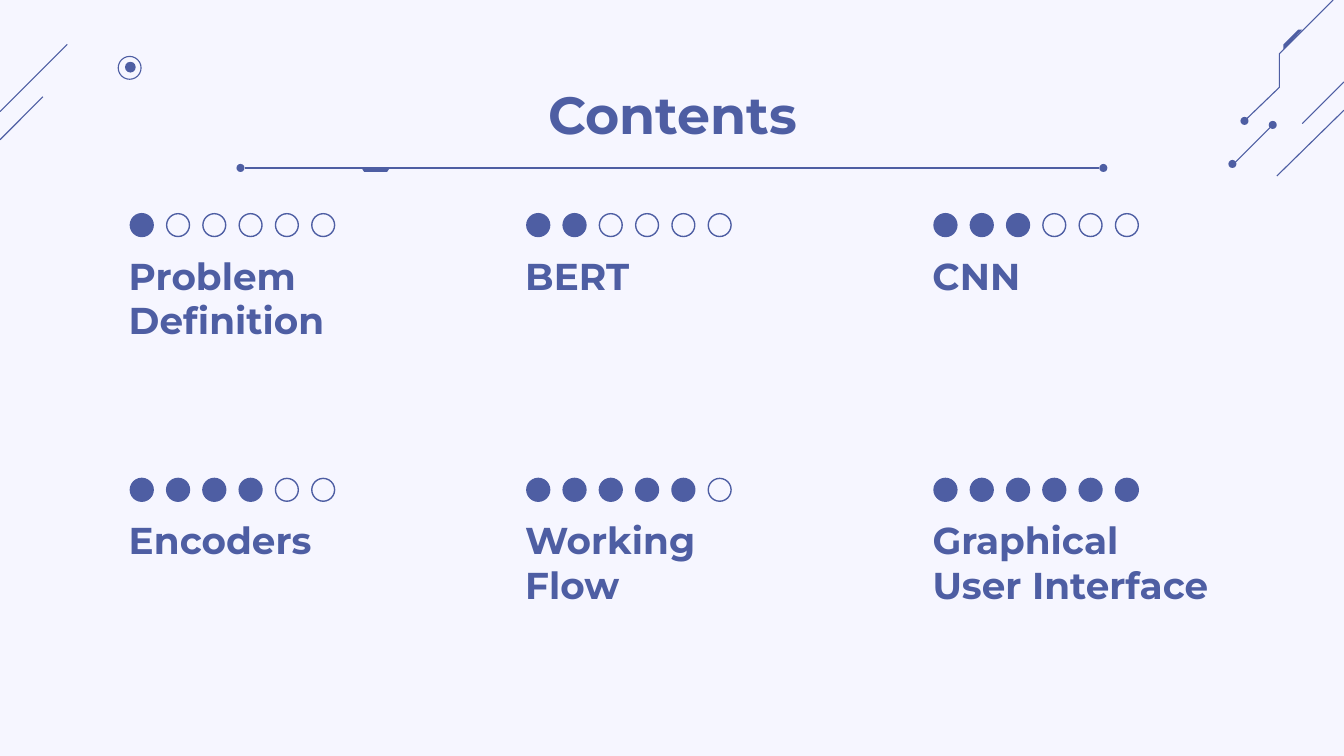
from pptx import Presentation
from pptx.dml.color import RGBColor
from pptx.enum.shapes import MSO_CONNECTOR as Connector, MSO_SHAPE as Shape
from pptx.enum.text import MSO_ANCHOR as Anchor, PP_ALIGN as Align
from pptx.oxml.ns import qn
from pptx.util import Inches, Pt
from lxml.etree import SubElement


def color(value):
    return RGBColor.from_string(value)


class ContentsSlide:
    font = "Montserrat"
    ink = "4E5EA3"
    paper = "F6F6FF"
    thin = 0.6
    regular = 0.75

    def __init__(self, deck):
        self.page = deck.slides.add_slide(deck.slide_layouts[6])
        background = self.page.background.fill
        background.solid()
        background.fore_color.rgb = color(self.paper)

    def paint(self, shape, filled, weight):
        shape.shadow.inherit = False
        if filled:
            shape.fill.solid()
            shape.fill.fore_color.rgb = color(self.ink)
        else:
            shape.fill.background()
        if weight:
            shape.line.color.rgb = color(self.ink)
            shape.line.width = Pt(weight)
        else:
            shape.line.fill.background()

    def dot(self, left, top, size, filled=True, weight=0):
        shape = self.page.shapes.add_shape(
            Shape.OVAL, Inches(left), Inches(top), Inches(size), Inches(size))
        self.paint(shape, filled, weight)

    def line(self, start, end, weight):
        ends = [Inches(value) for value in (*start, *end)]
        connector = self.page.shapes.add_connector(Connector.STRAIGHT, *ends)
        connector.line.color.rgb = color(self.ink)
        connector.line.width = Pt(weight)
        SubElement(connector._element.spPr, qn("a:effectLst"))

    def outline(self, points, closed=True):
        first, *others = [(Inches(x), Inches(y)) for x, y in points]
        builder = self.page.shapes.build_freeform(*first)
        builder.add_line_segments(others, close=closed)
        self.paint(builder.convert_to_shape(), closed, 0 if closed else self.thin)

    def text(self, words, left, top, width, height, size, align=Align.LEFT):
        box = self.page.shapes.add_textbox(
            Inches(left), Inches(top), Inches(width), Inches(height))
        frame_format = {
            "word_wrap": True, "vertical_anchor": Anchor.TOP,
            "margin_left": Inches(0.1), "margin_right": Inches(0.1),
            "margin_top": 0, "margin_bottom": 0,
        }
        for name, value in frame_format.items():
            setattr(box.text_frame, name, value)
        para = box.text_frame.paragraphs[0]
        para.alignment = align
        span = para.add_run()
        span.text = words
        for name, value in {"name": self.font, "size": Pt(size), "bold": True}.items():
            setattr(span.font, name, value)
        span.font.color.rgb = color(self.ink)

    def topic(self, words, number, total, left, top, width):
        self.text(words, left, top + 0.29, width, 0.72, 20)
        for step in range(total):
            self.dot(left + 0.11 + 0.27 * step, top, 0.17, step < number, self.regular)


def main():
    deck = Presentation()
    deck.slide_width = Inches(10)
    deck.slide_height = Inches(10) * 9 // 16
    slide = ContentsSlide(deck)

    diagonals = [
        ((10, 0.61), (9.69, 0.92)),
        ((10, 0.82), (9.5, 1.31)),
        ((9.47, 0.93), (9.18, 1.22)),
        ((0.5, 0.33), (0, 0.83)),
        ((0.32, 0.72), (0, 1.04)),
    ]
    for start, end in diagonals:
        slide.line(start, end, slide.thin)
    slide.outline([(9.92, 0), (9.52, 0.4), (9.52, 0.65), (9.26, 0.9)], closed=False)
    slide.outline([(9.55, 0.37), (9.69, 0.22), (9.66, 0.22), (9.55, 0.33)])
    for left, top in [(9.44, 0.9), (9.14, 1.19), (9.23, 0.87)]:
        slide.dot(left, top, 0.06)
    slide.dot(0.88, 0.42, 0.17, filled=False, weight=slide.thin)
    slide.dot(0.93, 0.46, 0.08)

    slide.text("Contents", 0.86, 0.61, 8.29, 0.57, 28, Align.CENTER)
    slide.outline([(2.69, 1.25), (2.9, 1.25), (2.88, 1.28), (2.71, 1.28)])
    slide.line((8.18, 1.25), (1.82, 1.25), slide.regular)
    for left in (1.76, 8.18):
        slide.dot(left, 1.22, 0.06)

    topics = ["Problem Definition", "BERT", "CNN",
              "Encoders", "Working Flow", "Graphical User Interface"]
    columns, rows = (0.86, 3.81, 6.84), (1.59, 3.56)
    for index, words in enumerate(topics):
        row, column = divmod(index, len(columns))
        width = 2.29 if index == len(topics) - 1 else 1.83
        slide.topic(words, index + 1, len(topics), columns[column], rows[row], width)

    deck.save("out.pptx")


if __name__ == "__main__":
    main()
